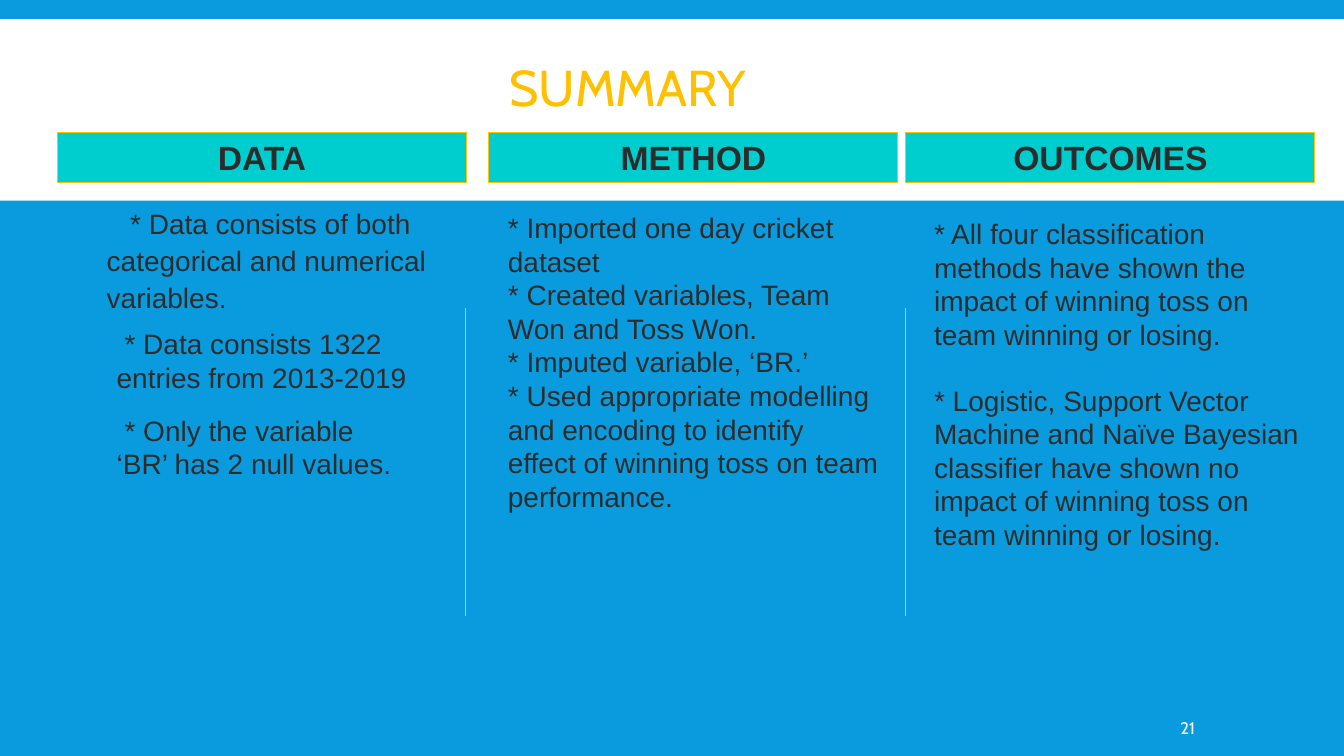
from lxml.etree import SubElement
from pptx import Presentation
from pptx.dml.color import RGBColor
from pptx.enum.shapes import MSO_CONNECTOR, MSO_SHAPE
from pptx.enum.text import MSO_ANCHOR, PP_ALIGN
from pptx.oxml.ns import qn
from pptx.util import Cm, Pt

BLUE, TEAL, GOLD, DARK, WHITE = "099BDD", "00CECE", "FFC000", "2C2C2C", "FFFFFF"

# heading, left edge
HEADINGS = [("DATA", 1.45), ("METHOD", 12.32), ("OUTCOMES", 22.83)]
DIVIDERS = [11.74, 22.83]

# left, top, width, height, first-line indent, line spacing, gap between paragraphs (pt), paragraphs
NOTES = [
    (12.55, 5.18, 9.86, 10.01, 0, 1, 0, [
        "* Imported one day cricket dataset",
        "* Created variables, Team Won and Toss Won.",
        "* Imputed variable, ‘BR.’",
        "* Used appropriate modelling and encoding to identify effect of winning toss on team performance.",
    ]),
    (23.29, 5.33, 9.86, 11.53, 0, 1, 23, [
        "* All four classification methods have shown the impact of winning toss on team winning or losing.",
        "* Logistic, Support Vector Machine and Naïve Bayesian classifier have shown no impact of "
        "winning toss on team winning or losing.",
    ]),
    (2.44, 5.0, 10.82, 1.93, 0.59, 1.1, 0,
     ["* Data consists of both categorical and numerical variables."]),
    (2.69, 8.1, 8.64, 1.96, 0.2, 1, 0, ["* Data consists 1322 entries from 2013-2019"]),
    (2.69, 10.29, 7.65, 1.96, 0.2, 1, 0, ["* Only the variable ‘BR’ has 2 null values."]),
]


def color(hex_string):
    return RGBColor.from_string(hex_string)


def format_text(paragraph, size, font, hex_string, bold=False, align=PP_ALIGN.LEFT):
    paragraph.alignment = align
    for run in paragraph.runs:
        run.font.size = Pt(size)
        run.font.name = font
        run.font.bold = bold
        run.font.color.rgb = color(hex_string)


def add_rectangle(slide, left, top, width, height, fill, line=None):
    shape = slide.shapes.add_shape(MSO_SHAPE.RECTANGLE, Cm(left), Cm(top), Cm(width), Cm(height))
    shape.shadow.inherit = False
    shape.fill.solid()
    shape.fill.fore_color.rgb = color(fill)
    if line:
        shape.line.color.rgb = color(line)
        shape.line.width = Pt(0.75)
    else:
        shape.line.fill.background()
    return shape


def add_text_box(slide, left, top, width, height):
    box = slide.shapes.add_textbox(Cm(left), Cm(top), Cm(width), Cm(height))
    box.text_frame.word_wrap = True
    return box.text_frame


def add_title(slide, text):
    title = slide.shapes.title
    title.left, title.top, title.width, title.height = Cm(11.94), Cm(0.94), Cm(7.77), Cm(2.69)
    title.text_frame.text = text
    title.text_frame.vertical_anchor = MSO_ANCHOR.MIDDLE
    paragraph = title.text_frame.paragraphs[0]
    paragraph.line_spacing = 0.85
    format_text(paragraph, 36, "Cabin", GOLD, align=PP_ALIGN.CENTER)


def add_divider(slide, x):
    divider = slide.shapes.add_connector(MSO_CONNECTOR.STRAIGHT, Cm(x), Cm(7.77), Cm(x), Cm(15.52))
    divider.line.color.rgb = color(GOLD)
    divider.line.width = Pt(0.75)
    SubElement(divider._element.spPr, qn("a:effectLst"))


def add_note(slide, left, top, width, height, indent, line_spacing, gap, texts):
    frame = add_text_box(slide, left, top, width, height)
    frame.text = "\n".join(texts)
    for index, paragraph in enumerate(frame.paragraphs):
        paragraph.line_spacing = line_spacing
        paragraph.space_before = Pt(gap if index else 0)
        if indent:
            paragraph._p.get_or_add_pPr().set("indent", str(Cm(indent)))
        format_text(paragraph, 20, "Arial", DARK)


def add_slide_number(slide, number):
    frame = add_text_box(slide, 29.62, 17.83, 2.62, 1.02)
    frame.margin_left = Cm(0.13)
    frame.vertical_anchor = MSO_ANCHOR.MIDDLE
    frame.text = number
    format_text(frame.paragraphs[0], 12, "Cabin", WHITE)


def main():
    presentation = Presentation()
    presentation.slide_width, presentation.slide_height = Cm(33.87), Cm(19.05)
    slide = presentation.slides.add_slide(presentation.slide_layouts[5])
    slide.background.fill.solid()
    slide.background.fill.fore_color.rgb = color(BLUE)

    band = add_rectangle(slide, 0, 0.48, 33.87, 4.58, WHITE)
    slide.shapes._spTree.insert(2, band._element)  # behind the title
    add_title(slide, "SUMMARY")
    add_slide_number(slide, "21")

    for heading, left in HEADINGS:
        box = add_rectangle(slide, left, 3.33, 10.31, 1.27, TEAL, GOLD)
        box.text_frame.text = heading
        format_text(box.text_frame.paragraphs[0], 24, "Arial", DARK, True, PP_ALIGN.CENTER)
    for x in DIVIDERS:
        add_divider(slide, x)
    for note in NOTES:
        add_note(slide, *note)

    presentation.save("out.pptx")


if __name__ == "__main__":
    main()
